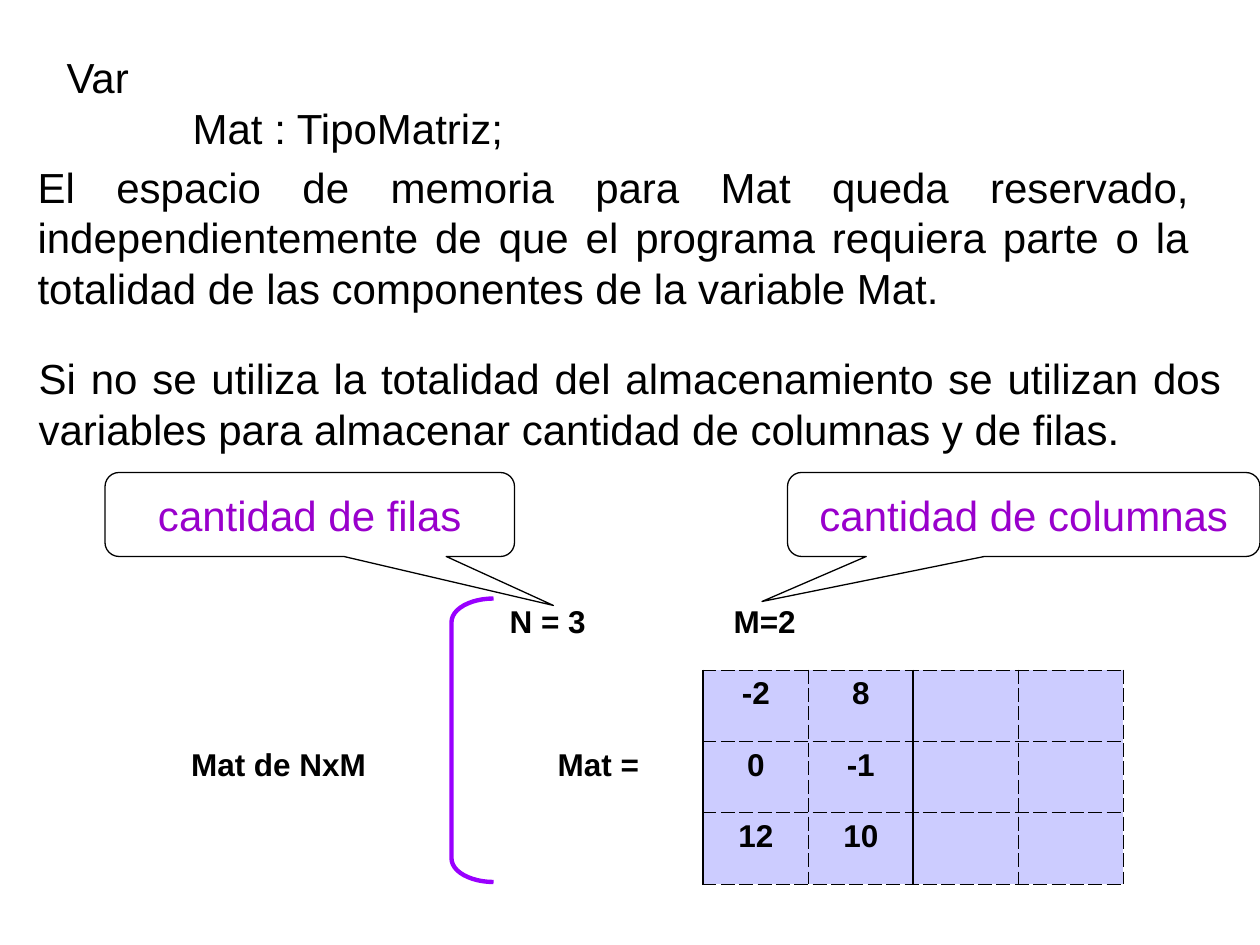
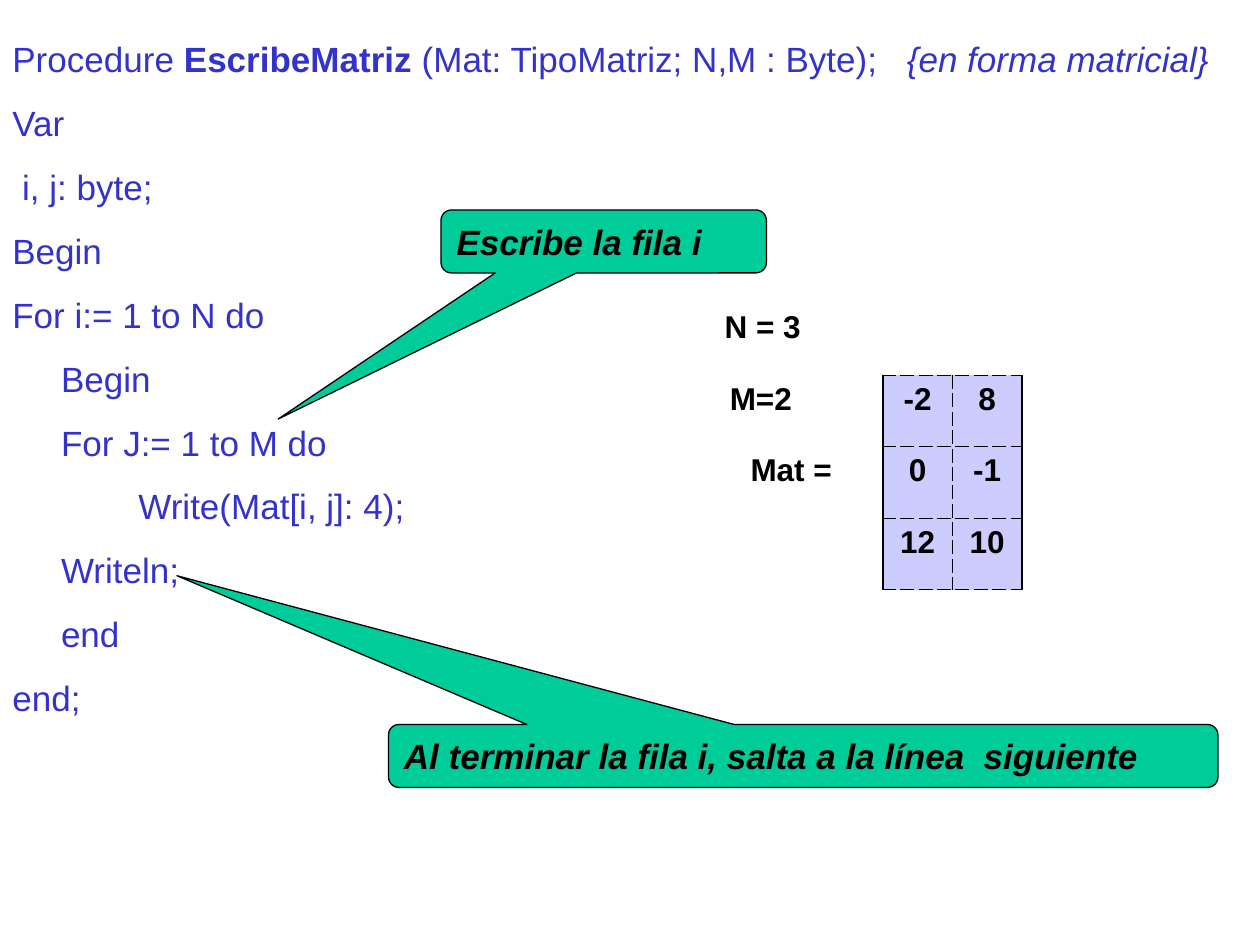
"""Builds two slides on reserving and printing a matrix in Pascal."""
from lxml import etree
from pptx import Presentation
from pptx import util as u
from pptx.dml.color import RGBColor
from pptx.enum import shapes, text
from pptx.oxml.ns import qn

COLOURS = {"ink": "000000", "code": "3333CC", "label": "9900CC",
           "bracket": "9900FF", "note": "00CC99", "cell": "CCCCFF"}
BODY = {"name": "Arial", "size": u.Pt(24)}
CODE = {"name": "Arial", "size": u.Pt(20)}
NOTE = {**CODE, "bold": True, "italic": True}
MATRIX = {"name": "Arial", "size": u.Pt(18), "bold": True}
LEFT, CENTER, RIGHT, JUSTIFY = (
    text.PP_ALIGN.LEFT, text.PP_ALIGN.CENTER, text.PP_ALIGN.RIGHT, text.PP_ALIGN.JUSTIFY)
NO_STYLE = "{2D5ABB26-0587-4C30-8999-92F81FD0307C}"
VALUES = [["-2", "8"], ["0", "-1"], ["12", "10"]]
ROW_HEIGHT = 40.8
MATRIX_COLUMN = 5
TAB = 72


def colour(name):
    """Return the named colour."""
    return RGBColor.from_string(COLOURS[name])


def apply(target, values):
    """Set each attribute in values on target."""
    for key, value in values.items():
        setattr(target, key, value)


def write(frame, lines, font, ink="ink", align=LEFT, before=0):
    """Write lines of (indent, runs), each run being (words, font changes)."""
    for index, (indent, runs) in enumerate(lines):
        line = frame.paragraphs[0] if index == 0 else frame.add_paragraph()
        apply(line, {"alignment": align, "space_before": u.Pt(before)})
        if indent:
            line._p.get_or_add_pPr().set("marL", str(u.Pt(indent)))
        for words, changes in runs:
            run = line.add_run()
            run.text = words
            apply(run.font, {**font, **changes})
            run.font.color.rgb = colour(ink)


def plain(words, indent=0):
    """Return one line with a single run."""
    return indent, [(words, {})]


def passage(slide, box, lines, font, **style):
    """Add wrapped text in box."""
    frame = slide.shapes.add_textbox(*map(u.Pt, box)).text_frame
    frame.word_wrap = True
    write(frame, lines, font, **style)


def outlined(slide, kind, box, adjustments, line, width):
    """Add an unfilled preset shape with a coloured line."""
    outline = slide.shapes.add_shape(kind, *map(u.Pt, box))
    for index, value in enumerate(adjustments):
        outline.adjustments[index] = value
    outline.shadow.inherit = False
    outline.fill.background()
    outline.line.color.rgb = colour(line)
    outline.line.width = u.Pt(width)
    return outline


def callout(slide, box, tip, words, font, fill=None, **style):
    """Add a rounded callout whose pointer ends at tip."""
    bubble = outlined(slide, shapes.MSO_SHAPE.ROUNDED_RECTANGULAR_CALLOUT,
                      box, (*tip, 0.167), "ink", 0.75)
    if fill:
        bubble.fill.solid()
        bubble.fill.fore_color.rgb = colour(fill)
    apply(bubble.text_frame, {"word_wrap": True,
                              "vertical_anchor": text.MSO_ANCHOR.MIDDLE})
    write(bubble.text_frame, [plain(words)], font, **style)


def border(cell, side, dashed):
    """Draw one side of a cell, thin and dashed or solid."""
    width = u.Pt(0.45 if dashed else 1.08)
    edge = etree.SubElement(cell._tc.get_or_add_tcPr(), qn("a:ln" + side), w=str(width))
    paint = etree.SubElement(edge, qn("a:solidFill"))
    etree.SubElement(paint, qn("a:srgbClr"), val=COLOURS["ink"])
    etree.SubElement(edge, qn("a:prstDash"), val="dash" if dashed else "solid")


def matrix(slide, left, top, widths, columns, labels):
    """Add the labelled matrix, with as many reserved columns as given."""
    rows = len(VALUES) + 1
    table = slide.shapes.add_table(rows, len(widths), u.Pt(left), u.Pt(top),
                                   u.Pt(sum(widths)), u.Pt(rows * ROW_HEIGHT)).table
    apply(table, {"first_row": False, "horz_banding": False})
    table._tbl.tblPr.find(qn("a:tableStyleId")).text = NO_STYLE
    for column, width in zip(table.columns, widths):
        column.width = u.Pt(width)
    for row in table.rows:
        row.height = u.Pt(ROW_HEIGHT)
    used = len(VALUES[0])
    for r in range(rows):
        for c in range(len(widths)):
            cell, place = table.cell(r, c), c - MATRIX_COLUMN
            if r and 0 <= place < columns:
                for side, dashed in (("L", place not in (0, used)),
                                     ("R", place + 1 != used), ("T", True), ("B", True)):
                    border(cell, side, dashed)
                cell.fill.solid()
                cell.fill.fore_color.rgb = colour("cell")
                if place < used:
                    write(cell.text_frame, [plain(VALUES[r - 1][place])], MATRIX,
                          align=CENTER, before=4.5)
            else:
                cell.fill.background()
    for start in (0, 3):
        table.cell(2, start).merge(table.cell(2, start + 1))
    for (r, c), (words, align, indent) in labels.items():
        write(table.cell(r, c).text_frame, [plain(words, indent)], MATRIX,
              align=align, before=4.5)


def storage_slide(slide):
    """Show the reserved storage and the part in use."""
    passage(slide, (14.4, 88.6, 672, 93.6), [plain(
        "El espacio de memoria para Mat queda reservado, independientemente de que el "
        "programa requiera parte o la totalidad de las componentes de la variable Mat.")],
        BODY, align=JUSTIFY, before=15)
    passage(slide, (15, 198, 690, 64.8), [plain(
        "Si no se utiliza la totalidad del almacenamiento se utilizan dos variables "
        "para almacenar cantidad de columnas y de filas.")],
        BODY, align=JUSTIFY, before=15)
    matrix(slide, 102, 342, [60] * 9, 4, {
        (0, 3): ("N = 3", RIGHT, 0), (0, 5): ("M=2", RIGHT, 0),
        (2, 0): ("Mat de NxM", LEFT, 0), (2, 3): ("Mat =", CENTER, 0)})
    outlined(slide, shapes.MSO_SHAPE.LEFT_BRACKET, (258, 342, 24, 162), (0.56,),
             "bracket", 2.5)
    callout(slide, (450, 270, 270, 48), (-0.554, 1.036), "cantidad de columnas",
            BODY, ink="label", align=CENTER)
    callout(slide, (60, 270, 234, 48), (0.595, 1.083), "cantidad de filas",
            BODY, ink="label", align=CENTER)
    passage(slide, (31, 26, 648, 64.8),
            [plain("Var"), plain("Mat : TipoMatriz;", TAB)], BODY)


def procedure_slide(slide):
    """Show the procedure that prints the matrix row by row."""
    heading = (0, [("Procedure ", {}), ("EscribeMatriz", {"bold": True}),
                   (" (Mat: TipoMatriz; N,M : Byte);   ", {}),
                   ("{en forma matricial}", {"italic": True})])
    block = 27.8
    passage(slide, (0, 18, 720, 432.7), [
        heading, plain("Var"), plain("i, j: byte;", 5.6), plain("Begin"),
        plain("For i:= 1 to N do"), plain("Begin", block),
        plain("For J:= 1 to M do", block), plain("Write(Mat[i, j]: 4);", TAB),
        plain("Writeln;", block), plain("end", block), plain("end;")],
        CODE, ink="code", before=12.5)
    callout(slide, (252, 120, 186, 36), (-1, 2.819), "Escribe la fila i",
            NOTE, "note", before=12.5)
    callout(slide, (222, 414, 474, 36), (-0.755, -2.861),
            "Al terminar la fila i, salta a la línea  siguiente", NOTE, "note", before=12.5)
    matrix(slide, 303.1, 173.7, [39.75] * 2 + [17, 64.9] + [39.75] * 5, 2, {
        (0, 3): ("N = 3", RIGHT, 0), (1, 3): ("M=2", LEFT, 10),
        (2, 3): ("Mat =", CENTER, 0)})


def main():
    """Build and save the slides."""
    deck = Presentation()
    apply(deck, {"slide_width": u.Pt(720), "slide_height": u.Pt(540)})
    for build in (storage_slide, procedure_slide):
        build(deck.slides.add_slide(deck.slide_layouts[6]))
    deck.save("out.pptx")


if __name__ == "__main__":
    main()
